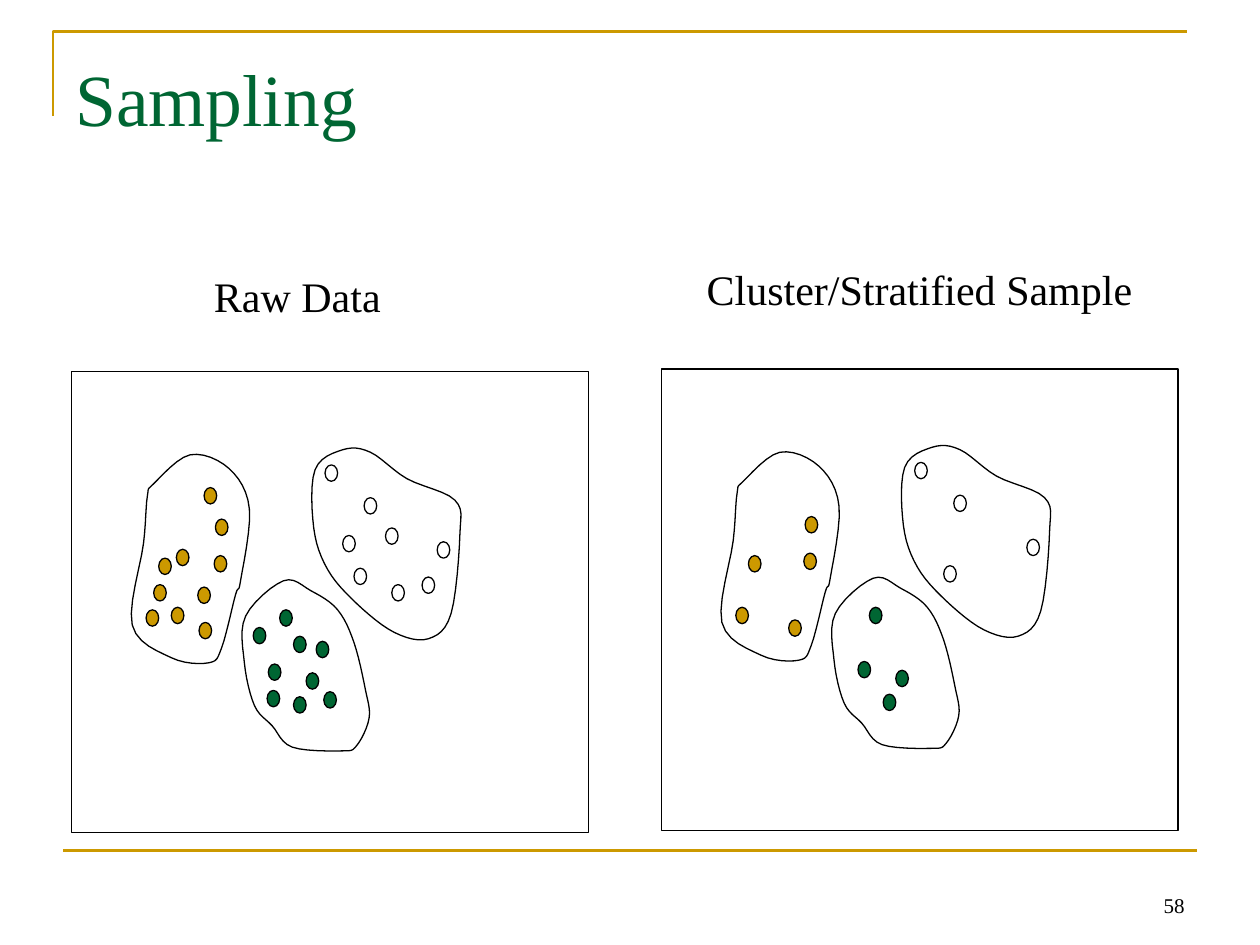
from dataclasses import dataclass
from typing import Optional

from lxml import etree
from pptx import Presentation
from pptx.dml.color import RGBColor
from pptx.enum.shapes import MSO_CONNECTOR, MSO_SHAPE
from pptx.enum.text import MSO_ANCHOR, PP_ALIGN
from pptx.oxml.ns import qn
from pptx.util import Cm, Pt

GOLD = RGBColor(0xCC, 0x99, 0x00)
GREEN = RGBColor(0x00, 0x66, 0x33)
WHITE = RGBColor(0xFF, 0xFF, 0xFF)
BLACK = RGBColor(0x00, 0x00, 0x00)
FONT = "Times New Roman"
RECTANGLE = MSO_SHAPE.RECTANGLE
DOT = MSO_SHAPE.FLOWCHART_CONNECTOR
STRAIGHT = MSO_CONNECTOR.STRAIGHT
TOP, BOTTOM = MSO_ANCHOR.TOP, MSO_ANCHOR.BOTTOM
LEFT, RIGHT = PP_ALIGN.LEFT, PP_ALIGN.RIGHT

CURVE_STEPS = 6
DOT_WIDTH, DOT_HEIGHT = 0.1, 0.13
PANEL_BOX = (0.57, 2.95, 4.1, 3.66)

Point = tuple[float, float]


@dataclass(frozen=True)
class Cluster:
    """Points that a smooth closed outline passes through, and dot corners, in inches."""
    color: RGBColor
    outline: list[Point]
    sampled: list[Point]
    unsampled: list[Point]


@dataclass(frozen=True)
class Panel:
    offset: Point
    sample_only: bool


CLUSTERS = [
    Cluster(
        WHITE,
        [(3.61, 3.97), (3.65, 4.24), (3.58, 4.87), (3.4, 5.07), (3.13, 5.02), (2.83, 4.79),
         (2.6, 4.52), (2.49, 4.19), (2.5, 3.73), (2.72, 3.57), (2.94, 3.59), (3.23, 3.8)],
        [(2.89, 3.95), (2.81, 4.51), (3.47, 4.3), (2.58, 3.69)],
        [(3.06, 4.19), (2.72, 4.25), (3.35, 4.58), (3.11, 4.64)],
    ),
    Cluster(
        GREEN,
        [(2.16, 5.76), (2.02, 5.6), (1.94, 5.26), (1.95, 4.89), (2.25, 4.61), (2.47, 4.69),
         (2.68, 4.84), (2.81, 5.1), (2.9, 5.47), (2.93, 5.7), (2.83, 5.92), (2.71, 5.96),
         (2.32, 5.93)],
        [(2.33, 5.53), (2.43, 5.34), (2.13, 5.27), (2.22, 4.84)],
        [(2.01, 4.98), (2.51, 5.09), (2.12, 5.48), (2.33, 5.05), (2.57, 5.49)],
    ),
    Cluster(
        GOLD,
        [(1.87, 4.72), (1.76, 5.14), (1.66, 5.26), (1.36, 5.22), (1.05, 4.96), (1.14, 4.31),
         (1.17, 3.94), (1.22, 3.84), (1.51, 3.61), (1.82, 3.72), (1.98, 4.04), (1.91, 4.61)],
        [(1.16, 4.84), (1.26, 4.43), (1.58, 4.94), (1.7, 4.41), (1.71, 4.12)],
        [(1.36, 4.82), (1.22, 4.64), (1.57, 4.66), (1.4, 4.36), (1.62, 3.87)],
    ),
]
PANELS = [Panel((0, 0), False), Panel((4.68, -0.02), True)]


def length(inches: float) -> Cm:
    return Cm(inches * 2.54)


def style_shape(shape, line: RGBColor, width: float, fill: Optional[RGBColor] = None) -> None:
    shape.shadow.inherit = False
    shape.line.color.rgb = line
    shape.line.width = Pt(width)
    if fill is None:
        shape.fill.background()
    else:
        shape.fill.solid()
        shape.fill.fore_color.rgb = fill


def add_preset(shapes, kind, box: tuple, offset: Point, fill: Optional[RGBColor] = None) -> None:
    left, top, width, height = box
    shape = shapes.add_shape(kind, length(left + offset[0]), length(top + offset[1]),
                             length(width), length(height))
    style_shape(shape, BLACK, 0.75, fill)


def add_outline(shapes, points: list[Point], line: RGBColor, width: float, close: bool) -> None:
    vertices = [(length(x), length(y)) for x, y in points]
    builder = shapes.build_freeform(*vertices[0], scale=1.0)
    builder.add_line_segments(vertices[1:], close=close)
    style_shape(builder.convert_to_shape(), line, width)


def smooth_loop(points: list[Point], offset: Point) -> list[Point]:
    """Sample a closed Catmull-Rom curve through the points."""
    count = len(points)
    result = []
    for index in range(count):
        neighbours = [points[(index + shift) % count] for shift in (-1, 0, 1, 2)]
        for step in range(CURVE_STEPS):
            t = step / CURVE_STEPS
            result.append(tuple(
                start + b + t * (c - a + t * (2 * a - 5 * b + 4 * c - d
                                              + t * (3 * (b - c) + d - a))) / 2
                for start, a, b, c, d in zip(offset, *neighbours)))
    return result


def draw_panel(slide, panel: Panel) -> None:
    shapes = slide.shapes.add_group_shape().shapes
    add_preset(shapes, RECTANGLE, PANEL_BOX, panel.offset)
    for cluster in CLUSTERS:
        add_outline(shapes, smooth_loop(cluster.outline, panel.offset), BLACK, 0.75, True)
        dots = cluster.sampled + ([] if panel.sample_only else cluster.unsampled)
        for left, top in dots:
            add_preset(shapes, DOT, (left, top, DOT_WIDTH, DOT_HEIGHT), panel.offset,
                       cluster.color)


def add_text(slide, text: str, box: tuple, *, size: float, color: RGBColor = BLACK,
             align=LEFT, anchor=TOP, wrap: bool = True, top_inset: float = 0.05) -> None:
    text_frame = slide.shapes.add_textbox(*map(length, box)).text_frame
    text_frame.word_wrap = wrap
    text_frame.vertical_anchor = anchor
    text_frame.margin_top = length(top_inset)
    paragraph = text_frame.paragraphs[0]
    paragraph.text = text
    paragraph.alignment = align
    paragraph.font.name = FONT
    paragraph.font.size = Pt(size)
    paragraph.font.color.rgb = color


def add_rule(slide, start: Point, end: Point) -> None:
    connector = slide.shapes.add_connector(STRAIGHT, *map(length, start + end))
    connector.line.color.rgb = GOLD
    connector.line.width = Pt(1.5)
    etree.SubElement(connector._element.spPr, qn("a:effectLst"))


def main() -> None:
    presentation = Presentation()
    presentation.slide_width, presentation.slide_height = length(10), length(7.5)
    slide = presentation.slides.add_slide(presentation.slide_layouts[6])
    add_outline(slide.shapes, [(0.42, 0.92), (0.42, 0.25), (9.42, 0.25)], GOLD, 1.5, False)
    add_rule(slide, (0.5, 6.75), (9.5, 6.75))
    add_text(slide, "58", (7.17, 6.83, 2.33, 0.5), size=12, align=RIGHT, anchor=BOTTOM)
    add_text(slide, "Sampling", (0.5, 0.3, 9, 1.25), size=42, color=GREEN, top_inset=0.12)
    for panel in PANELS:
        draw_panel(slide, panel)
    add_text(slide, "Raw Data", (1.6, 2.07, 1.6, 0.5), size=24, wrap=False, top_inset=0.08)
    add_text(slide, "Cluster/Stratified Sample", (5.51, 2.01, 3.58, 0.5), size=24, wrap=False,
             top_inset=0.08)
    presentation.save("out.pptx")


if __name__ == "__main__":
    main()
